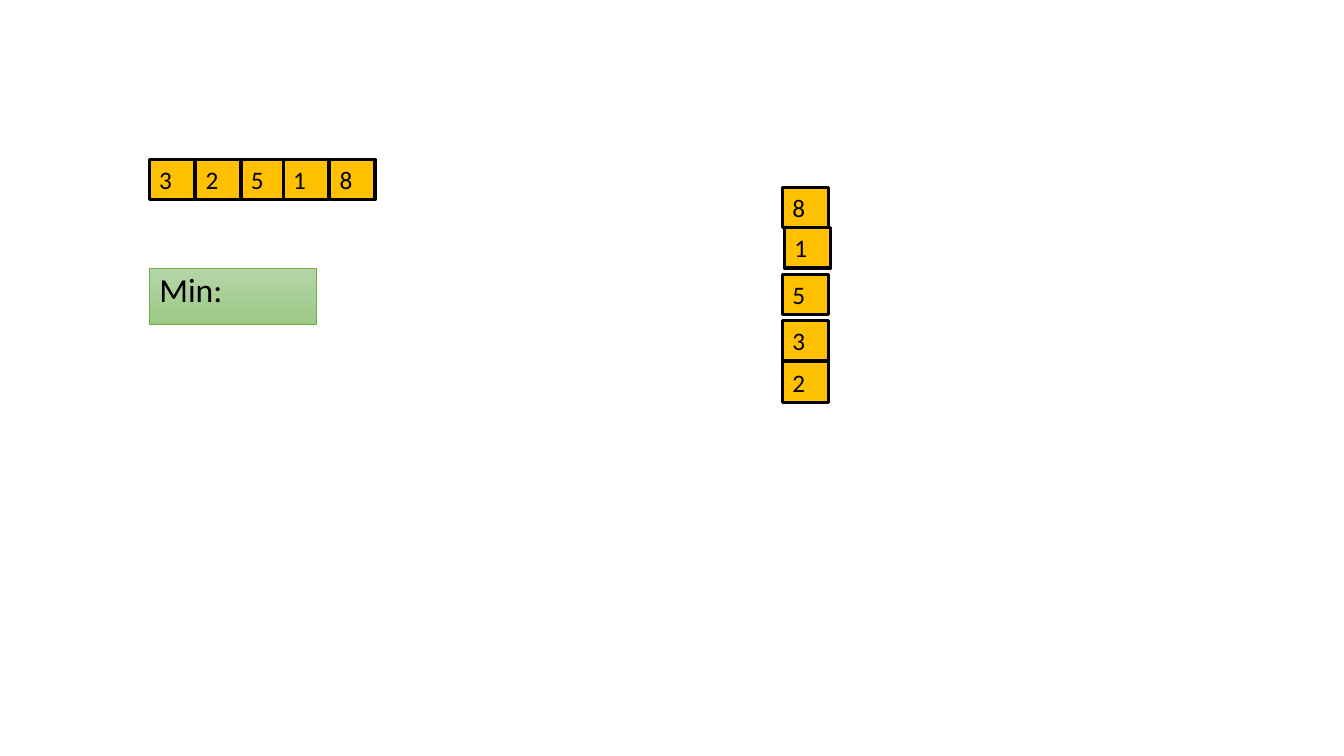
"""Build a slide with an array row, a stack of its values and a minimum label."""
from pptx import Presentation
from pptx.dml.color import RGBColor
from pptx.enum import text
from pptx.util import Inches, Pt

COLORS = {
    "cell": "FFC000",
    "ink": "000000",
    "min_top": "B5D5A7",
    "min_bottom": "9CC987",
    "min_edge": "70AD47",
}


def color(name):
    return RGBColor.from_string(COLORS[name])


def set_text(box, words, size):
    frame = box.text_frame
    frame.text = words
    frame.word_wrap = True
    frame.vertical_anchor = text.MSO_ANCHOR.TOP
    paragraph = frame.paragraphs[0]
    paragraph.alignment = text.PP_ALIGN.LEFT
    font = paragraph.runs[0].font
    font.name = "Calibri"
    font.size = Pt(size)
    font.color.rgb = color("ink")


deck = Presentation()
deck.slide_width, deck.slide_height = Inches(13.33), Inches(7.5)
slide = deck.slides.add_slide(deck.slide_layouts[0])
title = slide.shapes.title.element
title.getparent().remove(title)

minimum = slide.placeholders[1]
minimum.left, minimum.top = Inches(1.48), Inches(2.66)
minimum.width, minimum.height = Inches(1.66), Inches(0.56)
minimum.fill.gradient()
minimum.fill.gradient_angle = 270
for stop, name in zip(minimum.fill.gradient_stops, ("min_top", "min_bottom")):
    stop.color.rgb = color(name)
minimum.line.color.rgb = color("min_edge")
minimum.line.width = Pt(0.5)
set_text(minimum, "Min: ", 24)
minimum.text_frame.auto_size = text.MSO_AUTO_SIZE.NONE
minimum.text_frame.paragraphs[0].line_spacing = 0.9
minimum.text_frame.paragraphs[0].space_before = Pt(10)

array_lefts = {"3": 1.48, "2": 1.94, "5": 2.39, "1": 2.81, "8": 3.27}
stack_places = {
    "3": (7.76, 3.18),
    "2": (7.76, 3.59),
    "5": (7.76, 2.72),
    "1": (7.78, 2.26),
    "8": (7.76, 1.86),
}
cells = [(value, left, 1.58, 0.45) for value, left in array_lefts.items()]
cells += [(value, left, top, 0.46) for value, (left, top) in stack_places.items()]

for value, left, top, width in cells:
    cell = slide.shapes.add_textbox(Inches(left), Inches(top), Inches(width), Inches(0.4))
    cell.fill.solid()
    cell.fill.fore_color.rgb = color("cell")
    cell.line.color.rgb = color("ink")
    cell.line.width = Pt(2.25)
    set_text(cell, value, 18)
    cell.text_frame.auto_size = text.MSO_AUTO_SIZE.SHAPE_TO_FIT_TEXT

deck.save("out.pptx")
